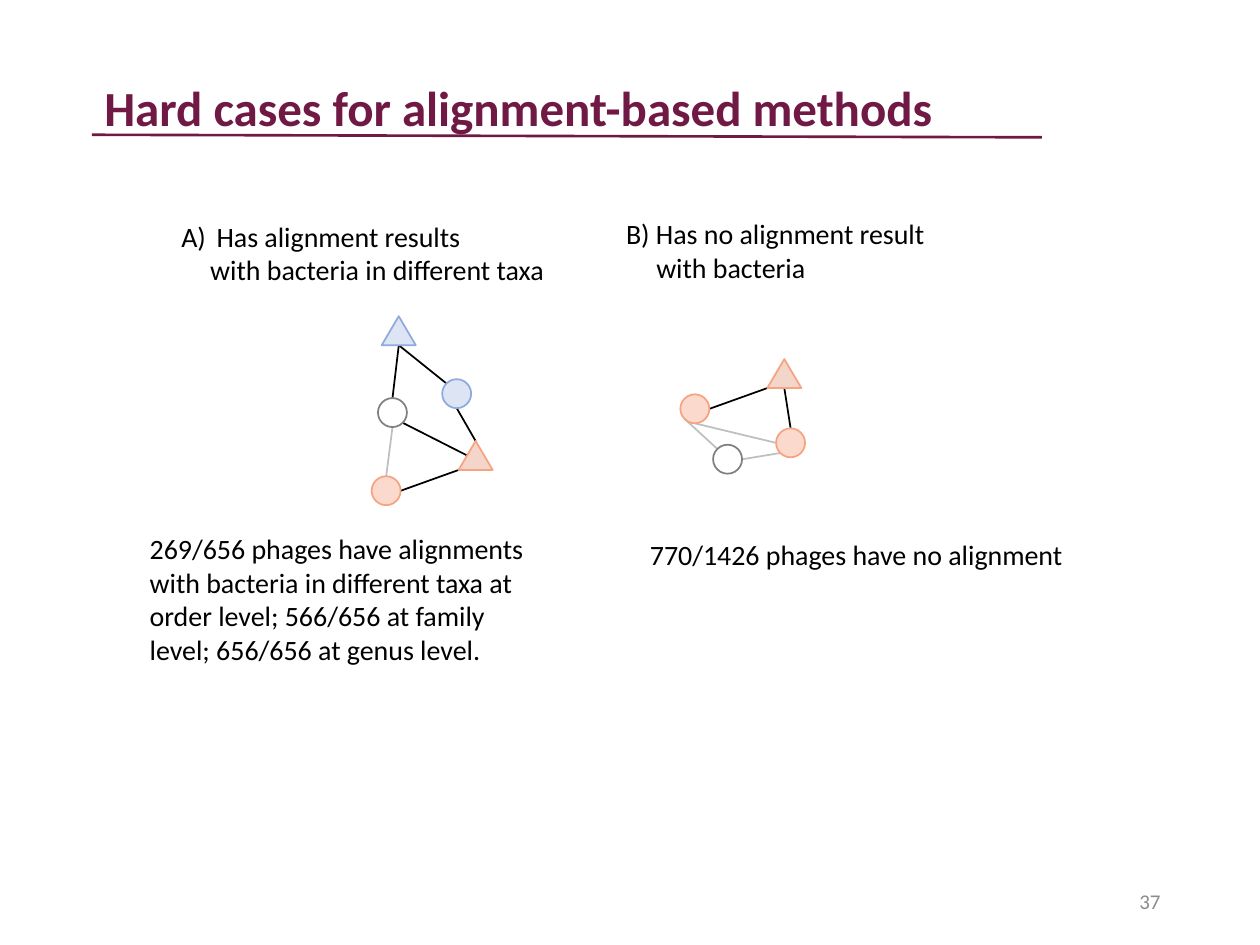
from dataclasses import dataclass
from typing import Optional

from lxml.etree import SubElement
from pptx import Presentation
from pptx.dml.color import RGBColor
from pptx.enum.shapes import MSO_CONNECTOR, MSO_SHAPE as Preset
from pptx.enum.text import MSO_ANCHOR as Anchor, MSO_AUTO_SIZE as AutoSize, PP_ALIGN as Align
from pptx.oxml.ns import qn
from pptx.util import Inches, Pt

# The slide is a grid of 100 columns and 75 rows with square cells.
COLUMNS, ROWS = 100, 75
CELL = Inches(0.1)
NODE_HEIGHT = 2.3

BLACK = RGBColor(0x00, 0x00, 0x00)
WHITE = RGBColor(0xFF, 0xFF, 0xFF)
GRAY = RGBColor(0x80, 0x80, 0x80)
LIGHT_GRAY = RGBColor(0xBF, 0xBF, 0xBF)
PAGE_GRAY = RGBColor(0x8C, 0x8C, 0x8C)
BLUE = RGBColor(0x8F, 0xAA, 0xDC)
PALE_BLUE = RGBColor(0xDD, 0xE5, 0xF4)
ORANGE = RGBColor(0xF6, 0xA3, 0x82)
PALE_ORANGE = RGBColor(0xF4, 0xD5, 0xCA)
MAROON = RGBColor(0x70, 0x19, 0x44)

# Where an edge meets a node, as shares of the node's width and height.
SITES = {
    "top": (0.5, 0), "bottom": (0.5, 1), "left": (0, 0.5), "right": (1, 0.5),
    "top left": (0.15, 0.15), "bottom left": (0.15, 0.85), "bottom right": (0.85, 0.85),
    "corner": (0, 1), "slope": (0.25, 0.5),
}


@dataclass
class NodeStyle:
    preset: Preset
    width: float
    fill: RGBColor
    line: RGBColor
    opacity: int = 100


@dataclass
class Node:
    column: float
    row: float
    style: NodeStyle

    def site(self, name: str) -> tuple[float, float]:
        across, down = SITES[name]
        return self.column + across * self.style.width, self.row + down * NODE_HEIGHT


@dataclass
class Edge:
    start: str
    start_site: str
    end: str
    end_site: str
    color: RGBColor = BLACK


@dataclass
class Line:
    text: str
    margin: float = 0
    indent: float = 0
    numbering: Optional[str] = None


@dataclass
class Label:
    box: tuple[float, float, float, float]
    lines: list[Line]
    size: int = 16
    color: RGBColor = BLACK
    bold: bool = False
    align: Align = Align.LEFT
    anchor: Anchor = Anchor.TOP


BLUE_CIRCLE = NodeStyle(Preset.OVAL, 2.3, BLUE, BLUE, 30)
ORANGE_CIRCLE = NodeStyle(Preset.OVAL, 2.3, ORANGE, ORANGE, 40)
WHITE_CIRCLE = NodeStyle(Preset.OVAL, 2.3, WHITE, GRAY)
BLUE_TRIANGLE = NodeStyle(Preset.ISOSCELES_TRIANGLE, 2.7, PALE_BLUE, BLUE)
ORANGE_TRIANGLE = NodeStyle(Preset.ISOSCELES_TRIANGLE, 2.7, PALE_ORANGE, ORANGE)

DIFFERENT_TAXA = (
    {
        "blue bacterium": Node(30.3, 25.1, BLUE_TRIANGLE),
        "blue phage": Node(35.1, 30.1, BLUE_CIRCLE),
        "query": Node(30, 31.6, WHITE_CIRCLE),
        "orange bacterium": Node(36.4, 35, ORANGE_TRIANGLE),
        "orange phage": Node(29.5, 37.8, ORANGE_CIRCLE),
    },
    [
        Edge("orange bacterium", "top", "blue phage", "bottom"),
        Edge("blue bacterium", "bottom", "blue phage", "top left"),
        Edge("orange bacterium", "slope", "query", "bottom right"),
        Edge("orange bacterium", "corner", "orange phage", "right"),
        Edge("query", "bottom", "orange phage", "top", LIGHT_GRAY),
        Edge("query", "top", "blue bacterium", "bottom"),
    ],
)
NO_ALIGNMENT = (
    {
        "left phage": Node(54, 31.3, ORANGE_CIRCLE),
        "right phage": Node(61.6, 34, ORANGE_CIRCLE),
        "query": Node(56.6, 35.3, WHITE_CIRCLE),
        "bacterium": Node(60.9, 28.5, ORANGE_TRIANGLE),
    },
    [
        Edge("right phage", "left", "left phage", "bottom", LIGHT_GRAY),
        Edge("bacterium", "bottom", "right phage", "top"),
        Edge("bacterium", "corner", "left phage", "right"),
        Edge("query", "top left", "left phage", "bottom left", LIGHT_GRAY),
        Edge("query", "right", "right phage", "bottom left", LIGHT_GRAY),
    ],
)

LABELS = [
    Label((7, 16.9, 37.5, 6.4), [
        Line("Has alignment results", 9.2, -2.8, "alphaUcParenR"),
        Line("with bacteria in different taxa", 8.7),
    ]),
    Label((48.7, 16.7, 26.5, 6.4), [
        Line("B) Has no alignment result"),
        Line("with bacteria", 2.4),
    ]),
    Label((50.6, 42.2, 36, 3.7), [Line("770/1426 phages have no alignment")]),
    Label((10.9, 41.7, 33, 11.8), [Line(
        "269/656 phages have alignments with bacteria in different taxa at "
        "order level; 566/656 at family level; 656/656 at genus level."
    )]),
    Label((7.3, 5.7, 81.1, 5.7), [Line("Hard cases for alignment-based methods")],
          size=28, color=MAROON, bold=True),
    Label((70.6, 69.5, 22.5, 4), [Line("37")], size=12, color=PAGE_GRAY,
          align=Align.RIGHT, anchor=Anchor.MIDDLE),
]


def cells(*counts: float) -> list[int]:
    return [round(count * CELL) for count in counts]


def draw_line(slide, start, end, color: RGBColor, width: float = 1) -> None:
    connector = slide.shapes.add_connector(MSO_CONNECTOR.STRAIGHT, *cells(*start, *end))
    connector.line.color.rgb = color
    connector.line.width = Pt(width)
    SubElement(connector._element.spPr, qn("a:effectLst"))


def draw_node(slide, node: Node) -> None:
    style = node.style
    shape = slide.shapes.add_shape(
        style.preset, *cells(node.column, node.row, style.width, NODE_HEIGHT))
    shape.shadow.inherit = False
    shape.fill.solid()
    shape.fill.fore_color.rgb = style.fill
    shape.line.color.rgb = style.line
    shape.line.width = Pt(1)
    if style.opacity < 100:
        color = shape._element.spPr.find(qn("a:solidFill")).find(qn("a:srgbClr"))
        SubElement(color, qn("a:alpha"), val=str(style.opacity * 1000))


def draw_graph(slide, nodes: dict[str, Node], edges: list[Edge]) -> None:
    for edge in edges:
        draw_line(slide, nodes[edge.start].site(edge.start_site),
                  nodes[edge.end].site(edge.end_site), edge.color)
    for node in nodes.values():
        draw_node(slide, node)


def draw_label(slide, label: Label) -> None:
    frame = slide.shapes.add_textbox(*cells(*label.box)).text_frame
    frame_format = {"word_wrap": True, "auto_size": AutoSize.NONE,
                    "vertical_anchor": label.anchor, "margin_right": Inches(0.1)}
    for name, value in frame_format.items():
        setattr(frame, name, value)
    font_format = {"name": "Calibri", "size": Pt(label.size), "bold": label.bold}
    for index, line in enumerate(label.lines):
        paragraph = frame.add_paragraph() if index else frame.paragraphs[0]
        paragraph.alignment = label.align
        properties = paragraph._p.get_or_add_pPr()
        margin, indent = cells(line.margin, line.indent)
        properties.set("marL", str(margin))
        properties.set("indent", str(indent))
        if line.numbering:
            SubElement(properties, qn("a:buAutoNum"), type=line.numbering)
        run = paragraph.add_run()
        run.text = line.text
        for name, value in font_format.items():
            setattr(run.font, name, value)
        run.font.color.rgb = label.color


def main() -> None:
    presentation = Presentation()
    presentation.slide_width, presentation.slide_height = cells(COLUMNS, ROWS)
    slide = presentation.slides.add_slide(presentation.slide_layouts[6])
    for graph in (DIFFERENT_TAXA, NO_ALIGNMENT):
        draw_graph(slide, *graph)
    for label in LABELS:
        draw_label(slide, label)
    draw_line(slide, (7.3, 10.7), (82.7, 10.9), MAROON, 1.5)
    presentation.save("out.pptx")


if __name__ == "__main__":
    main()
